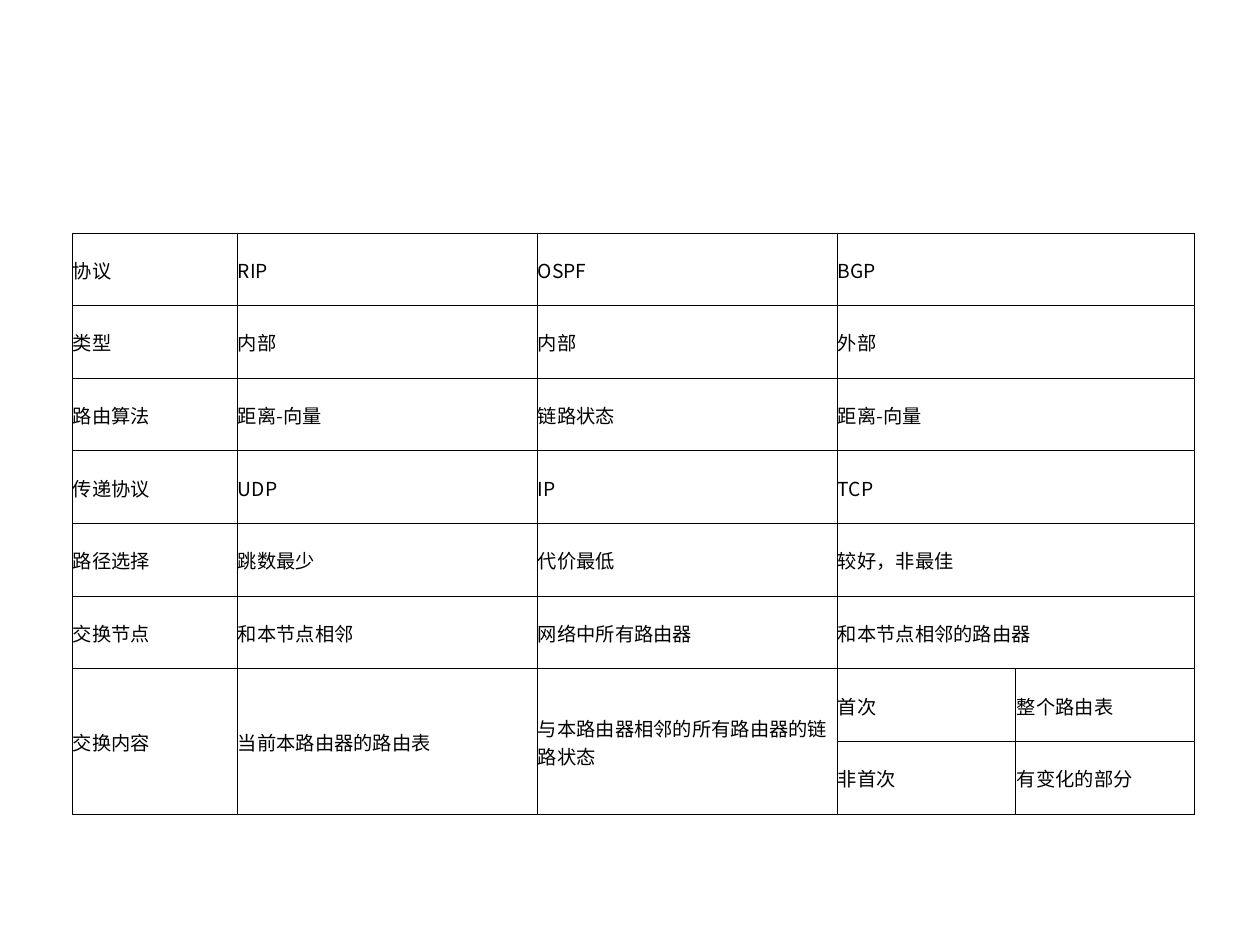
from typing import NamedTuple

from lxml.etree import SubElement
from pptx import Presentation
from pptx.dml.color import RGBColor
from pptx.enum.text import MSO_ANCHOR
from pptx.oxml import parse_xml
from pptx.oxml.ns import nsdecls, qn
from pptx.table import Table, _Cell
from pptx.util import Emu, Pt

PX_PER_INCH = 126
COLORS = {"text": "000000", "border": "000000"}
FONT = "Noto Sans CJK SC"
BORDER_WIDTH = Pt(0.5)

TABLE_LEFT, TABLE_TOP, TABLE_HEIGHT = 72, 233, 581
COLUMN_WIDTHS = [165, 300, 300, 179, 179]
ROW_COUNT = 8


class Entry(NamedTuple):
    row: int
    column: int
    text: str
    row_span: int = 1
    column_span: int = 1


COMPARISON = [
    ("协议", "RIP", "OSPF", "BGP"),
    ("类型", "内部", "内部", "外部"),
    ("路由算法", "距离-向量", "链路状态", "距离-向量"),
    ("传递协议", "UDP", "IP", "TCP"),
    ("路径选择", "跳数最少", "代价最低", "较好，非最佳"),
    ("交换节点", "和本节点相邻", "网络中所有路由器", "和本节点相邻的路由器"),
]
EXCHANGED_CONTENT = ["交换内容", "当前本路由器的路由表", "与本路由器相邻的所有路由器的链路状态"]
BGP_CONTENT = [("首次", "整个路由表"), ("非首次", "有变化的部分")]


def px(length: int) -> Emu:
    return Emu(round(length * 914400 / PX_PER_INCH))


def write_text(cell: _Cell, text: str, *, size: float = 11,
               color: str = "text", font: str = FONT) -> None:
    run = cell.text_frame.paragraphs[0].add_run()
    run.text = text
    run.font.size = Pt(size)
    run.font.bold = False
    run.font.name = font
    run.font.color.rgb = RGBColor.from_string(COLORS[color])
    SubElement(run.font._element, qn("a:ea")).set("typeface", font)


def style_cell(cell: _Cell) -> None:
    """Clear the fill, tighten the margins and rule all four sides."""
    cell.fill.background()
    cell.vertical_anchor = MSO_ANCHOR.MIDDLE
    cell.margin_left = cell.margin_right = cell.margin_top = px(1)
    cell.margin_bottom = 0
    properties = cell._tc.get_or_add_tcPr()
    for position, side in enumerate("LRTB"):
        properties.insert(position, parse_xml(
            f'<a:ln{side} {nsdecls("a")} w="{BORDER_WIDTH}"><a:solidFill>'
            f'<a:srgbClr val="{COLORS["border"]}"/></a:solidFill></a:ln{side}>'))


def fill_entry(table: Table, entry: Entry) -> None:
    cell = table.cell(entry.row, entry.column)
    if entry.row_span > 1 or entry.column_span > 1:
        cell.merge(table.cell(entry.row + entry.row_span - 1,
                              entry.column + entry.column_span - 1))
    write_text(cell, entry.text)


def table_entries() -> list[Entry]:
    last_column = len(COMPARISON[0]) - 1
    content_row = len(COMPARISON)
    entries = [Entry(row, column, text, column_span=2 if column == last_column else 1)
               for row, texts in enumerate(COMPARISON)
               for column, text in enumerate(texts)]
    entries += [Entry(content_row, column, text, row_span=2)
                for column, text in enumerate(EXCHANGED_CONTENT)]
    entries += [Entry(row, column, text)
                for row, texts in enumerate(BGP_CONTENT, content_row)
                for column, text in enumerate(texts, last_column)]
    return entries


def main() -> None:
    presentation = Presentation()
    presentation.slide_width = px(1260)
    presentation.slide_height = px(945)
    slide = presentation.slides.add_slide(presentation.slide_layouts[6])

    protocols = slide.shapes.add_table(
        ROW_COUNT, len(COLUMN_WIDTHS), px(TABLE_LEFT), px(TABLE_TOP),
        px(sum(COLUMN_WIDTHS)), px(TABLE_HEIGHT)).table
    protocols.first_row = protocols.horz_banding = False
    for column, width in zip(protocols.columns, COLUMN_WIDTHS):
        column.width = px(width)
    for cell in protocols.iter_cells():
        style_cell(cell)
    for entry in table_entries():
        fill_entry(protocols, entry)

    presentation.save("out.pptx")


if __name__ == "__main__":
    main()
